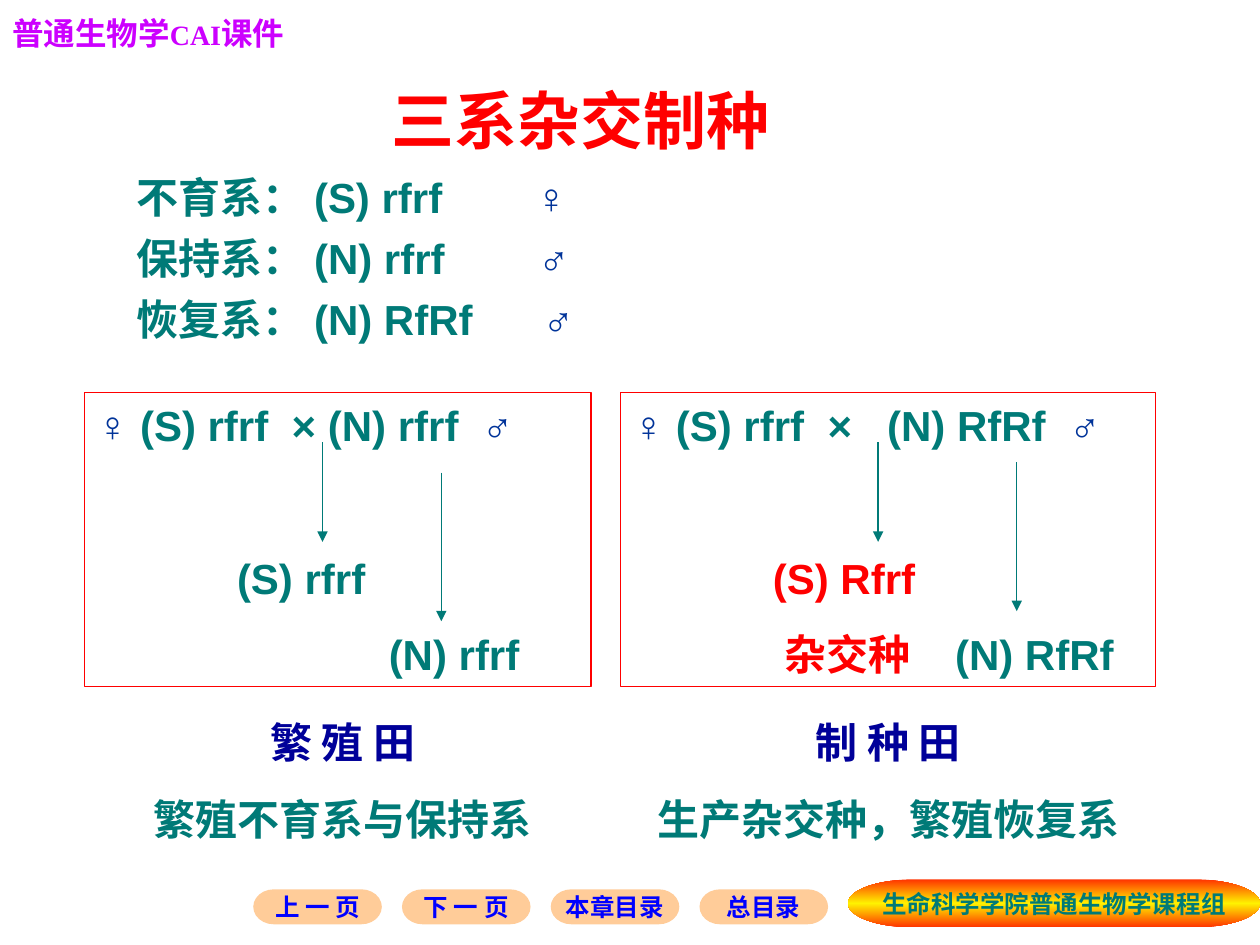
from copy import deepcopy

from pptx import Presentation
from pptx.dml.color import RGBColor
from pptx.enum.shapes import MSO_CONNECTOR, MSO_SHAPE
from pptx.enum.text import MSO_ANCHOR as Anchor, MSO_AUTO_SIZE, PP_ALIGN as Align
from pptx.oxml.ns import qn
from pptx.oxml.xmlchemy import OxmlElement
from pptx.util import Pt

TEAL, RED, BLUE, NAVY = "007A77", "FF0000", "003399", "000099"
PURPLE, LINK, PEACH = "CC00FF", "0000FF", "FFCC99"
SPACE_WIDTH = 6.67  # one space at 24 points


def color(value):
    return RGBColor.from_string(value)


def add_element(parent, tag, **attributes):
    element = OxmlElement(tag)
    for name, value in attributes.items():
        element.set(name, str(value))
    parent.append(element)
    return element


def write(shape, lines, size=24, font="Arial", fill=TEAL, align=Align.LEFT,
          before=0, indents=(), spacing=None, anchor=Anchor.TOP, wrap=True):
    """Fill a shape with lines; each line is a list of (text, format) runs.

    before holds one value for all lines, or a list with one per line;
    indents holds the left indent of each line.
    """
    frame = shape.text_frame
    frame.auto_size = MSO_AUTO_SIZE.NONE
    frame.word_wrap = wrap
    frame.vertical_anchor = anchor
    for index, line in enumerate(lines):
        paragraph = frame.paragraphs[0] if index == 0 else frame.add_paragraph()
        properties = paragraph._p.get_or_add_pPr()
        properties.set("marL", str(int(Pt(indents[index] if indents else 0))))
        properties.set("indent", "0")
        add_element(properties, "a:buNone")
        space = before[index] if isinstance(before, list) else before
        paragraph.space_before = Pt(space if index else 0)
        paragraph.alignment = align
        if spacing:
            paragraph.line_spacing = spacing
        for text, style in line:
            run = paragraph.add_run()
            run.text = text
            run.font.size = Pt(style.get("size", size))
            run.font.name = style.get("font", font)
            run.font.bold = True
            run.font.color.rgb = color(style.get("fill", fill))
            if "stretch" in style:
                run._r.get_or_add_rPr().set("spc", str(round(style["stretch"] * 100)))


def plain(text, **style):
    return [(text, style)]


def gap(count):
    """Return one space run, stretched to the width of count spaces."""
    return " ", dict(stretch=SPACE_WIDTH * (count - 1))


class SlideBuilder:
    button_style = dict(size=14, font="Roboto", align=Align.CENTER,
                        anchor=Anchor.MIDDLE, wrap=False)

    def __init__(self, slide):
        self.slide = slide

    def placeholder(self, index, box, lines, **style):
        shape = self.slide.placeholders[index]
        shape.left, shape.top, shape.width, shape.height = map(Pt, box)
        write(shape, lines, **style)

    def text(self, box, lines, **style):
        write(self.slide.shapes.add_textbox(*map(Pt, box)), lines, **style)

    def shape(self, kind, box):
        shape = self.slide.shapes.add_shape(kind, *map(Pt, box))
        shape.shadow.inherit = False
        return shape

    def frame(self, box, lines, **style):
        """Draw a red outlined box with a cross written in it."""
        shape = self.shape(MSO_SHAPE.RECTANGLE, box)
        shape.fill.background()
        shape.line.color.rgb = color(RED)
        shape.line.width = Pt(0.75)
        write(shape, lines, **style)

    def arrow(self, x, top, bottom):
        line = self.slide.shapes.add_connector(
            MSO_CONNECTOR.STRAIGHT, Pt(x), Pt(top), Pt(x), Pt(bottom))
        line.line.color.rgb = color(TEAL)
        line.line.width = Pt(0.75)
        add_element(line.line._get_or_add_ln(), "a:tailEnd", type="triangle")
        add_element(line._element.spPr, "a:effectLst")

    def button(self, box, label, fill, stops=()):
        """Draw a pill, flat in PEACH or with a vertical three-stop gradient."""
        shape = self.shape(MSO_SHAPE.FLOWCHART_TERMINATOR, box)
        shape.line.fill.background()
        if stops:
            shape.fill.gradient()
            shape.fill.gradient_angle = 270
            stop_list = shape._element.spPr.find(qn("a:gradFill")).find(qn("a:gsLst"))
            stop_list.insert(1, deepcopy(stop_list[0]))
            for stop, (position, value) in zip(shape.fill.gradient_stops, stops):
                stop.position = position
                stop.color.rgb = color(value)
        else:
            shape.fill.solid()
            shape.fill.fore_color.rgb = color(PEACH)
        write(shape, [plain(label)], fill=fill, **self.button_style)


def main():
    presentation = Presentation()
    presentation.slide_width, presentation.slide_height = Pt(720), Pt(540)
    builder = SlideBuilder(presentation.slides.add_slide(presentation.slide_layouts[1]))

    builder.placeholder(0, (60, 43.2, 544, 50.5), [plain("三系杂交制种")],
                        size=36, fill=RED, align=Align.CENTER)
    female, male = ("♀", dict(fill=BLUE)), ("♂", dict(fill=BLUE))
    lines = [("不育系： (S) rfrf", 8, female), ("保持系： (N) rfrf", 8, male),
             ("恢复系： (N) RfRf", 6, male)]
    builder.placeholder(1, (70.8, 94.3, 556, 106),
                        [[(text, {}), gap(count), sign] for text, count, sign in lines],
                        before=6)

    # Each field: left, width, spaces after the cross sign, pollen parent,
    # offspring, last indent, arrows, caption box, caption lines
    fields = [
        (48.3, 289.4, 1, "(N) rfrf",
         [plain("(S) rfrf"), plain("(N) rfrf")], 25,
         [(184.3, 252.7, 309.6), (252.2, 270, 355)],
         (59.8, 272), "繁 殖 田", "繁殖不育系与保持系"),
        (354.5, 306, 3, "(N) RfRf",
         [plain("(S) Rfrf", fill=RED),
          [("杂交种", dict(fill=RED)), gap(4), ("(N) RfRf", {})]], 13,
         [(501.8, 252.7, 309.6), (581, 264.2, 349.2)],
         (360, 295), "制 种 田", "生产杂交种，繁殖恢复系"),
    ]
    for (left, width, count, pollen, offspring, indent, arrows,
         caption, name, purpose) in fields:
        parents = [("♀ ", dict(fill=BLUE)), ("(S) rfrf", {}), gap(2), ("×", {}),
                   gap(count), (pollen, {}), gap(2), male]
        builder.frame((left, 224.5, width, 167.8), [parents] + offspring,
                      before=[0, 58.7, 15],
                      indents=[0, 12 * SPACE_WIDTH, indent * SPACE_WIDTH])
        for arrow in arrows:
            builder.arrow(*arrow)
        builder.text((caption[0], 406, caption[1], 80),
                     [plain(name, fill=NAVY), plain(purpose)],
                     align=Align.CENTER, before=15)

    builder.text((0, 0, 190, 33),
                 [[("普通生物学", {}), ("CAI", dict(size=16, font="Times New Roman")),
                   ("课件", {})]],
                 size=18, font="Noto Sans CJK SC", fill=PURPLE,
                 align=Align.JUSTIFY, spacing=1.2)

    for index, label in enumerate(["上 一 页", "下 一 页", "本章目录", "总目录"]):
        builder.button((144.7 + 85 * index, 508.2, 73.5, 20), label, LINK)
    builder.button((484.6, 502.5, 235.4, 27.5), "生命科学学院普通生物学课程组", TEAL,
                   stops=[(0, "FF3300"), (0.5, "FFF200"), (1, "FF3300")])
    presentation.save("out.pptx")


if __name__ == "__main__":
    main()
